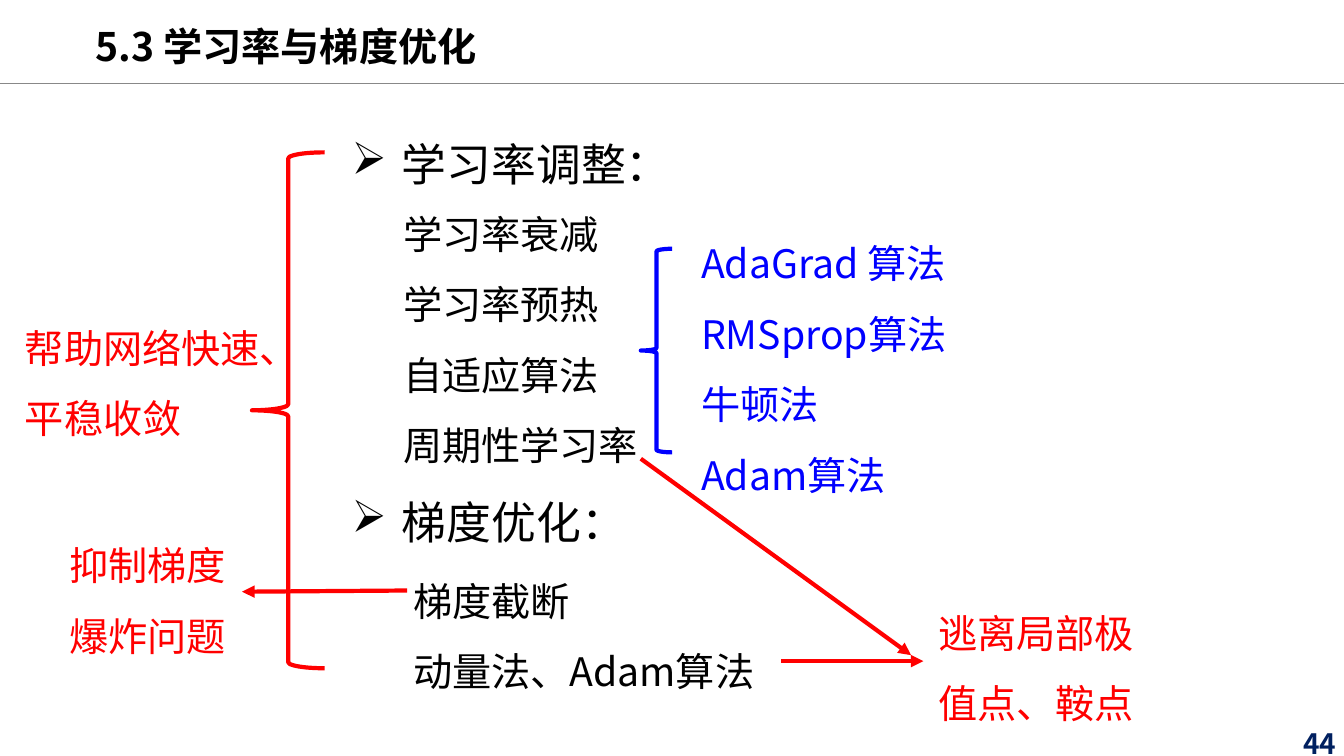
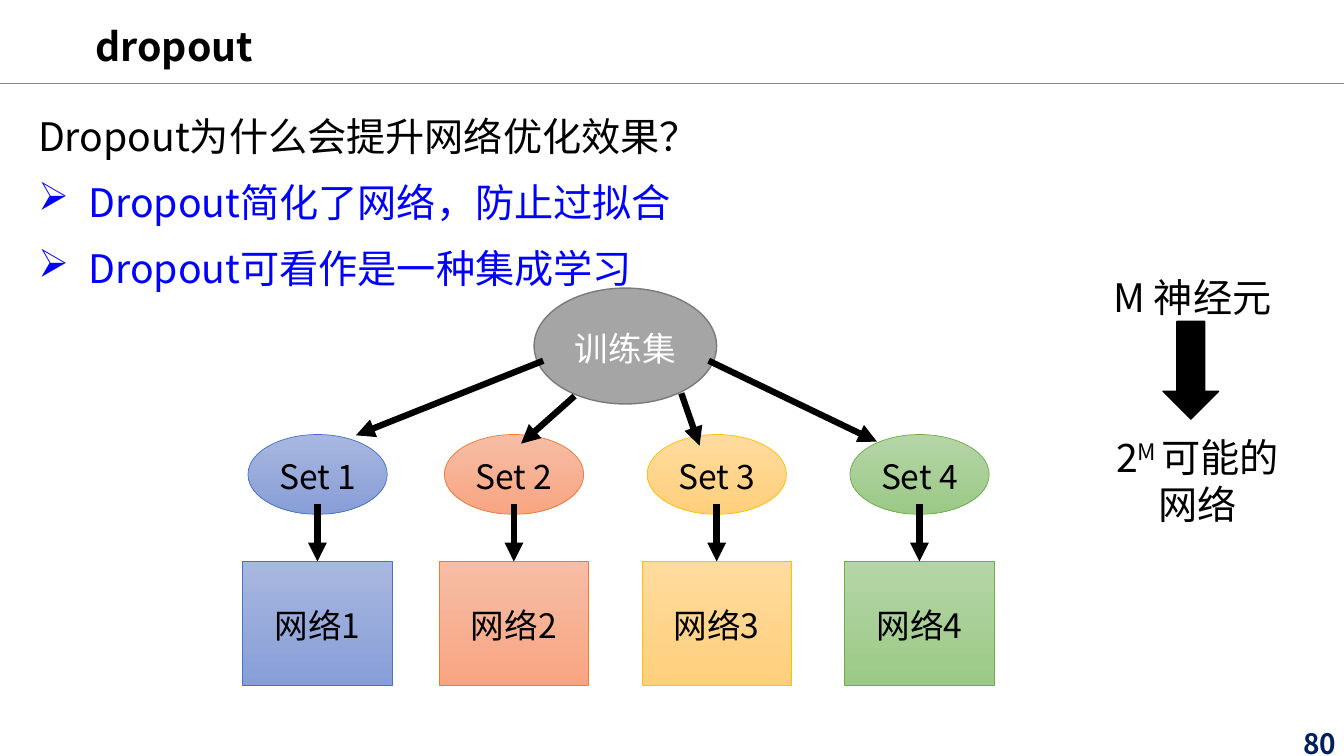
"""Build two lecture slides on learning rates and dropout."""
from dataclasses import dataclass

from lxml.etree import SubElement
from pptx import Presentation
from pptx.dml.color import RGBColor
from pptx.enum.shapes import MSO_CONNECTOR, MSO_SHAPE
from pptx.enum.text import MSO_ANCHOR, PP_ALIGN
from pptx.oxml.ns import qn
from pptx.util import Cm, Pt


@dataclass(frozen=True)
class Theme:
    """Hold the colours, font and type sizes."""
    font: str = "Noto Sans CJK SC"
    black: str = "000000"
    white: str = "FFFFFF"
    red: str = "FF0000"
    blue: str = "0000FF"
    navy: str = "002060"
    rule: str = "888888"
    grey: str = "A5A5A5"
    edge: str = "7A7A7A"
    head: int = 32
    body: int = 28
    node: int = 24
    page: int = 20
    lead: float = 1.2
    loose: float = 1.8
    hues: tuple = (
        ("A8B7DF", "889ED7", "4472C4"),
        ("F7BDA5", "F8A582", "ED7D31"),
        ("FFDB9E", "FFD07C", "FFC000"),
        ("B5D5A7", "9CC987", "70AD47"),
    )


T = Theme()


def tint(code):
    """Turn a hex code into a colour."""
    return RGBColor.from_string(code)


def place(box, left, top, width, height):
    """Shift a box given in centimetres by the corner of its region."""
    return Cm(box[0] + left), Cm(box[1] + top), Cm(width), Cm(height)


def write(frame, text, size=T.body, color=T.black, bold=False, lead=T.lead,
          align=PP_ALIGN.LEFT, bullet=None, wrap=True, anchor=MSO_ANCHOR.TOP):
    """Fill a frame, one paragraph a line, raising what stands between carets."""
    frame.word_wrap = wrap
    frame.vertical_anchor = anchor
    frame.margin_top = Cm(0.23)
    for row, line in enumerate(text.split("\n")):
        para = frame.add_paragraph() if row else frame.paragraphs[0]
        if bullet:
            props = para._p.get_or_add_pPr()
            props.set("marL", str(Cm(1.27)))
            props.set("indent", str(-Cm(1.27)))
            SubElement(props, qn("a:buChar"), char=bullet)
        para.alignment = align
        para.line_spacing = Pt(size * lead)
        for turn, part in enumerate(line.split("^")):
            run = para.add_run()
            run.text = part
            font = run.font
            font.name, font.size, font.bold = T.font, Pt(size), bold
            font.color.rgb = tint(color)
            props = run._r.get_or_add_rPr()
            SubElement(props, qn("a:ea"), typeface=T.font)
            if turn % 2:
                props.set("baseline", "30000")


def label(slide, spot, text, **style):
    """Add a text box."""
    write(slide.shapes.add_textbox(*spot).text_frame, text, **style)


def draw(slide, kind, spot, fill=None, line=T.black, weight=1):
    """Add a flat preset shape; a pair of fills makes a gradient."""
    shape = slide.shapes.add_shape(kind, *spot)
    shape.shadow.inherit = False
    if fill is None:
        shape.fill.background()
    elif isinstance(fill, tuple):
        shape.fill.gradient()
        shape.fill.gradient_angle = 270
        for stop, code in zip(shape.fill.gradient_stops, fill):
            stop.color.rgb = tint(code)
    else:
        shape.fill.solid()
        shape.fill.fore_color.rgb = tint(fill)
    shape.line.color.rgb = tint(line)
    shape.line.width = Pt(weight)
    return shape


def node(slide, kind, spot, text, color=T.black, **look):
    """Add a shape with a centred label."""
    shape = draw(slide, kind, spot, **look)
    write(shape.text_frame, text, size=T.node, color=color,
          align=PP_ALIGN.CENTER, anchor=MSO_ANCHOR.MIDDLE)
    return shape


def link(slide, box, ends, color, weight, arrow=True):
    """Add a straight line, with an arrowhead unless told otherwise."""
    left, top, right, low = ends
    line = slide.shapes.add_connector(
        MSO_CONNECTOR.STRAIGHT, Cm(box[0] + left), Cm(box[1] + top),
        Cm(box[0] + right), Cm(box[1] + low))
    line.line.color.rgb = tint(color)
    line.line.width = Pt(weight)
    if arrow:
        SubElement(line.line._get_or_add_ln(), qn("a:tailEnd"), type="triangle")
    SubElement(line._element.spPr, qn("a:effectLst"))
    return line


def start(deck, title, page):
    """Add a slide with its title, rule and page number."""
    slide = deck.slides.add_slide(deck.slide_layouts[6])
    box = (0, 0)
    link(slide, box, (0, 2.11, 33.87, 2.11), T.rule, 1, arrow=False)
    label(slide, place(box, 32.59, 18.08, 1.37, 1.12), page, size=T.page,
          color=T.navy, bold=True, wrap=False)
    label(slide, place(box, 2.16, 0.33, 30.99, 1.45), title, bold=True)
    return slide


def topic(slide, box, head, items, shift):
    """Set a bulleted heading over its items."""
    label(slide, place(box, 0, 0, 24, 2.26), head, size=T.head,
          lead=T.loose, bullet="➢")
    rows = items.count("\n") + 1
    label(slide, place(box, *shift, 22, 1.87 * rows), items, lead=T.loose)


def goal(slide, box):
    """Set the overall aim beside its tall brace."""
    draw(slide, MSO_SHAPE.LEFT_BRACE, place(box, 5.97, 0, 1.83, 13),
         line=T.red, weight=3)
    label(slide, place(box, 0, 3.5, 7.29, 2.18), "帮助网络快速、平稳收敛",
          color=T.red, lead=T.loose)


def kinds(slide, box):
    """List the adaptive methods behind a brace."""
    draw(slide, MSO_SHAPE.LEFT_BRACE, place(box, 0, 1.06, 0.79, 5.13),
         line=T.blue, weight=3)
    label(slide, place(box, 1.27, 0, 11.1, 5.46),
          "AdaGrad 算法\nRMSprop算法\n牛顿法\nAdam算法",
          color=T.blue, lead=T.loose)


def effect(slide, box, text, width, arrows):
    """Set a red note with the arrows that lead to it."""
    for ends in arrows:
        link(slide, box, ends, T.red, 3)
    label(slide, place(box, 0, 0, width, 2.2), text, color=T.red, lead=T.loose)


def claims(slide, box):
    """Ask the question and give two answers."""
    label(slide, place(box, 0, 0, 23.32, 1.45), "Dropout为什么会提升网络优化效果？")
    answers = "Dropout简化了网络，防止过拟合", "Dropout可看作是一种集成学习"
    for row, text in enumerate(answers, 1):
        label(slide, place(box, 0, 1.67 * row, 23.32, 1.45), text,
              color=T.blue, bullet="➢")


def tree(slide, box):
    """Split the training set into four sets, each with its network."""
    node(slide, MSO_SHAPE.OVAL, place(box, 7.34, 0, 4.6, 2.92), "训练集",
         color=T.white, fill=T.grey, line=T.edge)
    lefts = 0, 4.95, 10.06, 15.17
    pairs = []
    for count, (left, hue) in enumerate(zip(lefts, T.hues), 1):
        look = {"fill": hue[:2], "line": hue[2], "weight": 0.5}
        net = node(slide, MSO_SHAPE.RECTANGLE,
                   place(box, left, 6.89, 3.76, 3.12), f"网络{count}", **look)
        node(slide, MSO_SHAPE.OVAL, place(box, left + 0.13, 3.69, 3.51, 2.01),
             f"Set {count}", **look)
        pairs.append((left + 1.88, net))
    for ends in ((7.57, 1.83, 2.85, 3.71), (8.36, 2.72, 7.01, 3.92),
                 (11.05, 2.65, 11.51, 3.97), (11.74, 1.83, 15.98, 3.87)):
        link(slide, box, ends, T.black, 4.5)
    for mid, net in pairs:
        line = link(slide, box, (mid, 5.45, mid, 6.89), T.black, 4.5)
        line.end_connect(net, 0)


def count(slide, box):
    """Show how neurons give many networks."""
    label(slide, place(box, 0, 0, 5.08, 1.45), "M 神经元",
          align=PP_ALIGN.CENTER)
    draw(slide, MSO_SHAPE.DOWN_ARROW, place(box, 1.8, 1.45, 1.4, 2.46),
         fill=T.black)
    label(slide, place(box, 0.13, 4.04, 5.08, 2.64), "2^M ^可能的网络",
          align=PP_ALIGN.CENTER)


def rates(deck):
    """Build the slide on rates and gradients."""
    slide = start(deck, "5.3 学习率与梯度优化", "44")
    topic(slide, (8.61, 2.54), "学习率调整：",
          "学习率衰减\n学习率预热\n自适应算法\n周期性学习率", (1.3, 1.93))
    topic(slide, (8.61, 11.56), "梯度优化：",
          "梯度截断\n动量法、Adam算法", (1.55, 2.16))
    kinds(slide, (16.15, 5.21))
    effect(slide, (1.5, 12.83), "抑制梯度爆炸问题", 5.05,
           [(8.76, 2.05, 4.6, 2.08)])
    effect(slide, (23.39, 14.53), "逃离局部极值点、鞍点", 5.82,
           [(-3.7, 2.13, -0.12, 2.13), (-7.24, -2.97, -0.43, 1.98)])
    goal(slide, (0.38, 3.84))


def drops(deck):
    """Build the slide on dropout."""
    slide = start(deck, "dropout", "80")
    claims(slide, (0.71, 2.59))
    tree(slide, (6.12, 7.26))
    count(slide, (27.51, 6.65))


def main():
    """Build and save the deck."""
    deck = Presentation()
    deck.slide_width, deck.slide_height = Cm(33.87), Cm(19.05)
    rates(deck)
    drops(deck)
    deck.save("out.pptx")


if __name__ == "__main__":
    main()
